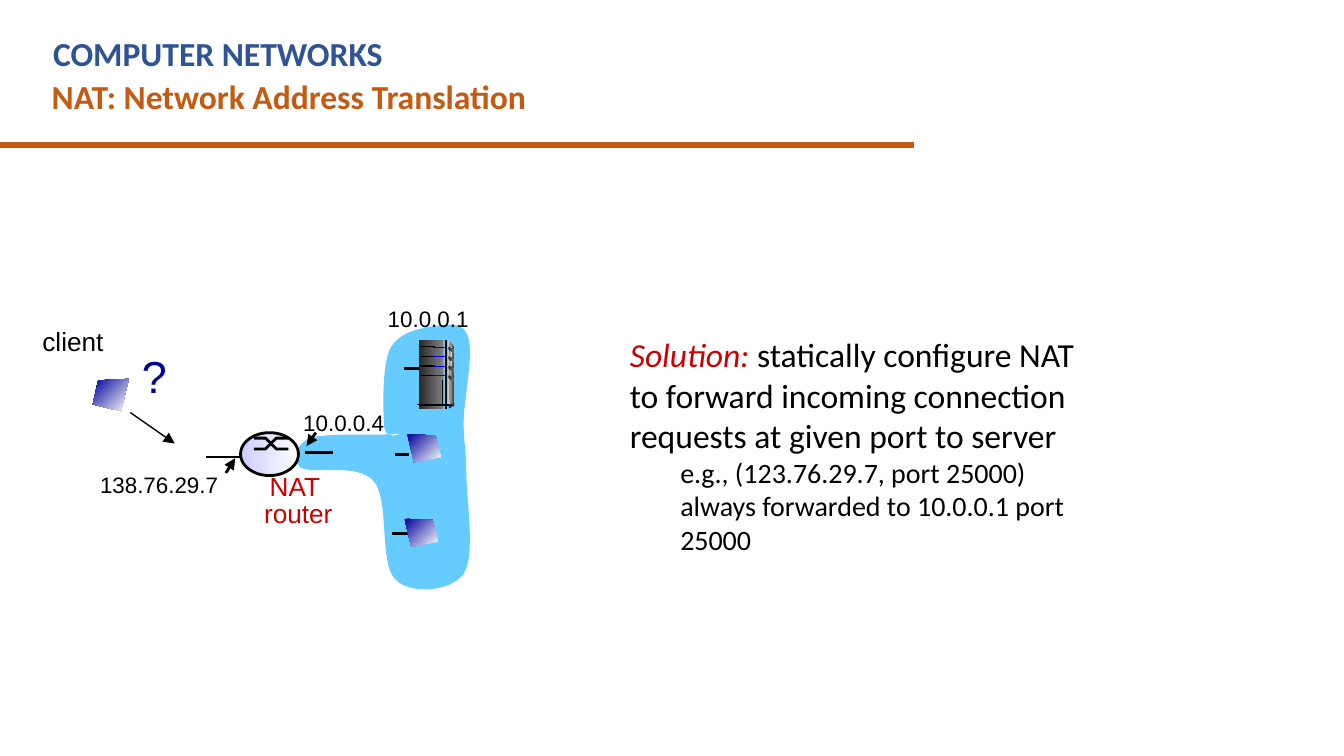
from dataclasses import dataclass

from lxml import etree
from pptx import Presentation, util as u
from pptx.dml.color import RGBColor
from pptx.enum import shapes, text
from pptx.oxml.ns import qn

Pt = u.Pt
Point = tuple[float, float]

BLACK = RGBColor(0x00, 0x00, 0x00)
WHITE = RGBColor(0xFF, 0xFF, 0xFF)
BLUE = RGBColor(0x2F, 0x54, 0x96)
ORANGE = RGBColor(0xC5, 0x5A, 0x11)
RED = RGBColor(0xCC, 0x00, 0x00)
NAVY = RGBColor(0x00, 0x00, 0x99)
SKY = RGBColor(0x66, 0xCC, 0xFF)
LILAC = RGBColor(0xCC, 0xCC, 0xFF)
LAMP = RGBColor(0x00, 0x00, 0xFF)
CHARCOAL = RGBColor(0x29, 0x29, 0x29)
DARK = RGBColor(0x33, 0x33, 0x33)
GRAY = RGBColor(0x80, 0x80, 0x80)
SILVER = RGBColor(0xDD, 0xDD, 0xDD)
PALE = RGBColor(0xF8, 0xF8, 0xF8)


@dataclass
class Label:
    lines: list[str]
    left: float
    top: float
    width: float
    height: float
    size: float
    color: RGBColor = BLACK
    font: str = "Arial"
    bold: bool = False
    centered: bool = False


@dataclass
class Link:
    start: Point
    end: Point
    weight: float = 1.5
    color: RGBColor = BLACK
    arrow: bool = False


@dataclass
class Gradient:
    first: RGBColor
    last: RGBColor
    angle: float = 0


def set_frame(frame) -> None:
    frame.word_wrap = True
    frame.auto_size = text.MSO_AUTO_SIZE.NONE
    frame.vertical_anchor = text.MSO_ANCHOR.TOP
    frame.margin_left = frame.margin_right = Pt(5.4)
    frame.margin_top = frame.margin_bottom = Pt(2.7)


def write_label(box, label: Label) -> None:
    box.left, box.top = Pt(label.left), Pt(label.top)
    box.width, box.height = Pt(label.width), Pt(label.height)
    frame = box.text_frame
    set_frame(frame)
    frame.text = "\n".join(label.lines)
    for paragraph in frame.paragraphs:
        paragraph.alignment = text.PP_ALIGN.CENTER if label.centered else text.PP_ALIGN.LEFT
        paragraph.line_spacing = 0.85 if label.centered else 1.0
        font = paragraph.font
        font.name, font.size, font.bold = label.font, Pt(label.size), label.bold
        font.color.rgb = label.color


def add_label(slide, label: Label) -> None:
    write_label(slide.shapes.add_textbox(0, 0, 0, 0), label)


def add_link(slide, link: Link) -> None:
    ends = [Pt(value) for value in (*link.start, *link.end)]
    line = slide.shapes.add_connector(shapes.MSO_CONNECTOR.STRAIGHT, *ends)
    line.line.color.rgb = link.color
    line.line.width = Pt(link.weight)
    if link.arrow:
        etree.SubElement(line.line._get_or_add_ln(), qn("a:tailEnd"), type="triangle")
    etree.SubElement(line._element.spPr, qn("a:effectLst"))


def paint(shape, fill: RGBColor | Gradient | None, weight: float = 0) -> None:
    shape.shadow.inherit = False
    if fill is None:
        shape.fill.background()
    elif isinstance(fill, Gradient):
        shape.fill.gradient()
        shape.fill.gradient_angle = fill.angle
        for stop, color, position in zip(shape.fill.gradient_stops, (fill.first, fill.last), (0, 1)):
            stop.color.rgb = color
            stop.position = position
    else:
        shape.fill.solid()
        shape.fill.fore_color.rgb = fill
    if weight:
        shape.line.color.rgb = BLACK
        shape.line.width = Pt(weight)
    else:
        shape.line.fill.background()


def add_outline(slide, points: list[Point], fill: RGBColor | Gradient | None,
                weight: float = 0, closed: bool = True) -> None:
    corners = [(Pt(x), Pt(y)) for x, y in points]
    builder = slide.shapes.build_freeform(*corners[0], scale=1.0)
    builder.add_line_segments(corners[1:], close=closed)
    paint(builder.convert_to_shape(), fill, weight)


def add_preset(slide, kind, left: float, top: float, width: float, height: float,
               fill: RGBColor | Gradient, weight: float = 0) -> None:
    shape = slide.shapes.add_shape(kind, Pt(left), Pt(top), Pt(width), Pt(height))
    paint(shape, fill, weight)


def trace_curve(knots: list[Point], steps: int = 16) -> list[Point]:
    points = [knots[0]]
    for i in range(0, len(knots) - 1, 3):
        a, b, c, d = knots[i:i + 4]
        for step in range(1, steps + 1):
            t = step / steps
            s = 1 - t
            points.append(tuple(
                s**3 * a[k] + 3 * s * s * t * b[k] + 3 * s * t * t * c[k] + t**3 * d[k]
                for k in (0, 1)))
    return points


def shift(points: list[Point], left: float, top: float) -> list[Point]:
    return [(left + x, top + y) for x, y in points]


def add_server(slide) -> None:
    add_outline(slide, [(240.5, 182.2), (243.4, 186.5), (243.4, 216), (239.8, 217.4)],
                Gradient(SILVER, DARK))
    add_preset(slide, shapes.MSO_SHAPE.RECTANGLE, 224.6, 182.2, 13, 36.7, Gradient(CHARCOAL, GRAY))
    add_outline(slide, [(240.5, 184.3), (242.6, 187.2), (241.2, 200), (240.5, 216)],
                Gradient(GRAY, PALE))
    vent = [(0, 0), (3.4, 1.8), (3.4, 3.2), (0, 1.4)]
    for row in range(4):
        top = 185.8 + 5.1 * row
        add_outline(slide, shift(vent, 240.2, top), Gradient(CHARCOAL, GRAY))
        add_link(slide, Link((224.6, top), (233.3, top), 0.75))
        add_link(slide, Link((232.2, top), (239, top), 0.25, LAMP))
    add_outline(slide, [(240.5, 216.7), (240.5, 218.9), (243.4, 217.4), (243.4, 216)], DARK)
    for start, end in [((239, 182.2), (239, 218.9)), ((223.2, 216.7), (240.5, 216.7)),
                       ((224.6, 217.4), (241.9, 217.4)), ((236.9, 203.8), (236.9, 217.4))]:
        add_link(slide, Link(start, end, 0.75))


def add_router(slide) -> None:
    add_preset(slide, shapes.MSO_SHAPE.OVAL, 128.9, 231.8, 31, 23, Gradient(LILAC, WHITE), 1.5)
    left, right, high, low = 136, 154.5, 234.7, 240.5
    for start, end in [(low, high), (high, low)]:
        add_outline(slide, [(left, start), (142.2, start), (148, end), (right, end)],
                    None, 1.5, closed=False)


def add_solution(slide) -> None:
    box = slide.shapes.add_textbox(Pt(332), Pt(176.4), Pt(262), Pt(125.3))
    set_frame(box.text_frame)
    solution = box.text_frame.paragraphs[0]
    solution.font.name, solution.font.size = "Calibri", Pt(18)
    lead = solution.add_run()
    lead.text = "Solution:"
    lead.font.italic = True
    lead.font.color.rgb = RED
    rest = solution.add_run()
    rest.text = " statically configure NAT to forward incoming connection requests at given port to server"
    rest.font.color.rgb = BLACK
    example = box.text_frame.add_paragraph()
    example.text = "e.g., (123.76.29.7, port 25000) always forwarded to 10.0.0.1 port 25000"
    example.level = 1
    properties = example._p.get_or_add_pPr()
    properties.set("marL", str(Pt(27)))
    properties.set("indent", "0")
    example.font.name, example.font.size = "Calibri", Pt(15)
    example.font.color.rgb = BLACK


LAN_KNOTS = [
    (166.3, 234.7), (174.2, 231.8), (205.2, 233.3), (211.7, 232.6),
    (218.9, 231.1), (206.6, 236.9), (205.9, 229), (205.2, 221.8), (204.5, 196.6), (208.8, 187.2),
    (213.1, 178.6), (223.2, 176.4), (230.4, 175), (237.6, 174.2), (247.7, 171.4), (250.6, 180),
    (254.2, 188.6), (248.4, 213.8), (248.4, 226.1), (248.4, 238.3), (249.8, 240.5), (249.8, 253.4),
    (249.8, 267.1), (254.9, 298.1), (248.4, 307.4), (241.9, 316.8), (219.6, 319), (211.7, 310.3),
    (203, 301.7), (208.8, 267.8), (200.2, 257.8), (191.5, 247.7), (167, 254.2), (161.3, 250.6),
    (155.5, 246.2), (158.4, 238.3), (166.3, 234.7)]
LABELS = [
    Label(["10.0.0.1"], 202.3, 160.6, 60, 20, 12),
    Label(["10.0.0.4"], 157, 216.7, 60, 20, 12),
    Label(["NAT ", "router"], 126, 252, 67.7, 34.6, 14, RED, centered=True),
    Label(["138.76.29.7"], 48.2, 249.8, 78, 20, 12),
    Label(["client"], 17.3, 171.4, 61.2, 22.3, 14),
    Label(["?"], 70.6, 184.3, 26, 34.6, 24, NAVY)]
LINKS = [
    Link((216.7, 197.3), (224.6, 197.3)), Link((210.2, 285.8), (220.3, 285.8)),
    Link((211.7, 243.4), (218.9, 243.4)), Link((163.4, 242.6), (178.6, 242.6)),
    Link((110.2, 244.8), (133.9, 244.8), 0.75),
    Link((169.2, 231.8), (164.2, 239), arrow=True),
    Link((121, 253.4), (126, 245.5), arrow=True),
    Link((69.8, 221), (93.6, 237.6), 0.75, arrow=True)]


def main() -> None:
    deck = Presentation()
    deck.slide_width, deck.slide_height = Pt(720), Pt(405)
    slide = deck.slides.add_slide(deck.slide_layouts[5])
    write_label(slide.shapes.title, Label(["NAT: Network Address Translation"], 22.3, 38.2, 472.3, 27.4,
                                          18, ORANGE, "Calibri", True))
    add_label(slide, Label(["COMPUTER NETWORKS"], 23, 15.1, 442.8, 27.4, 18, BLUE, "Calibri", True))
    add_link(slide, Link((-0.7, 77.8), (489.6, 77.8), 3, ORANGE))
    add_outline(slide, trace_curve(LAN_KNOTS), SKY)
    for link in LINKS:
        add_link(slide, link)
    for label in LABELS:
        add_label(slide, label)
    add_router(slide)
    screen = Gradient(NAVY, WHITE, 315)
    add_outline(slide, [(69.1, 203), (52.6, 203.8), (49.7, 216.7), (64.8, 220.3)], screen)
    host = [(0, 0), (15.1, 0.7), (18, 12.2), (3.6, 15.1)]
    for left, top in [(218.2, 232.6), (216.7, 277.9)]:
        add_outline(slide, shift(host, left, top), screen)
    add_server(slide)
    add_solution(slide)
    deck.save("out.pptx")


if __name__ == "__main__":
    main()
